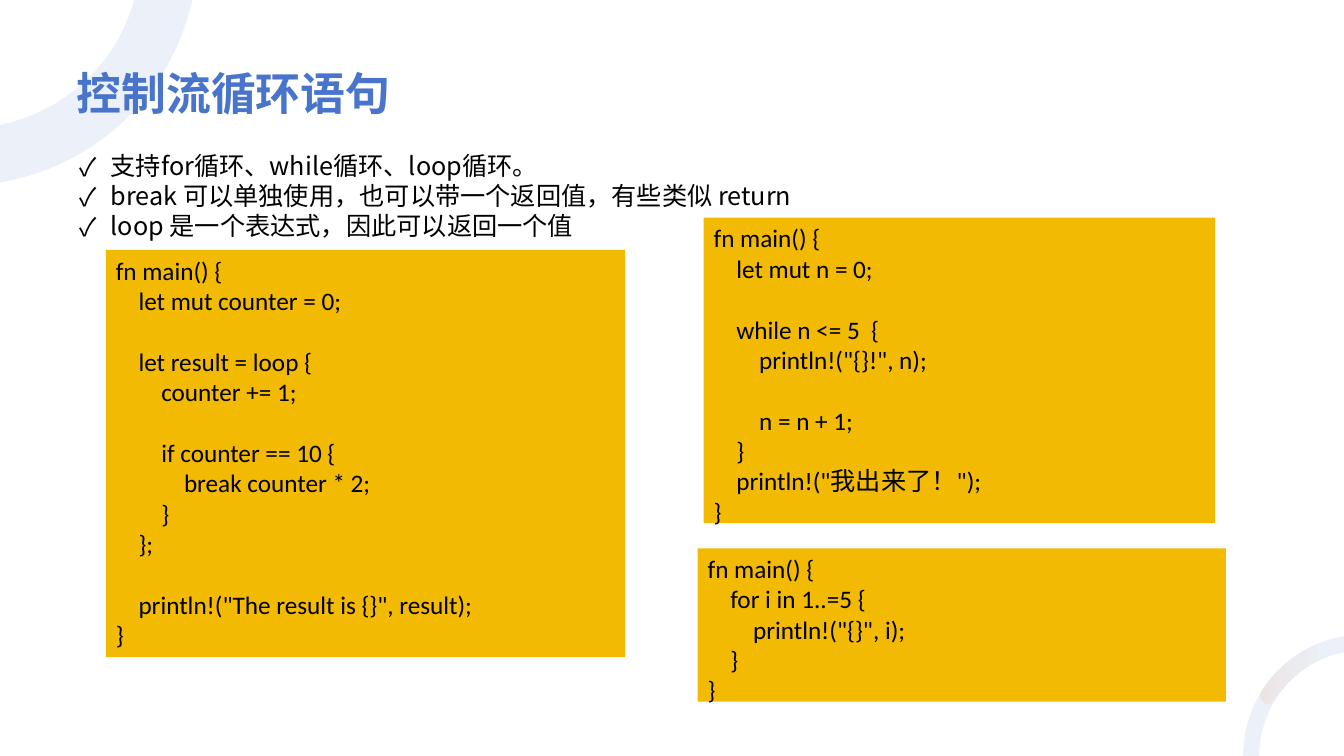
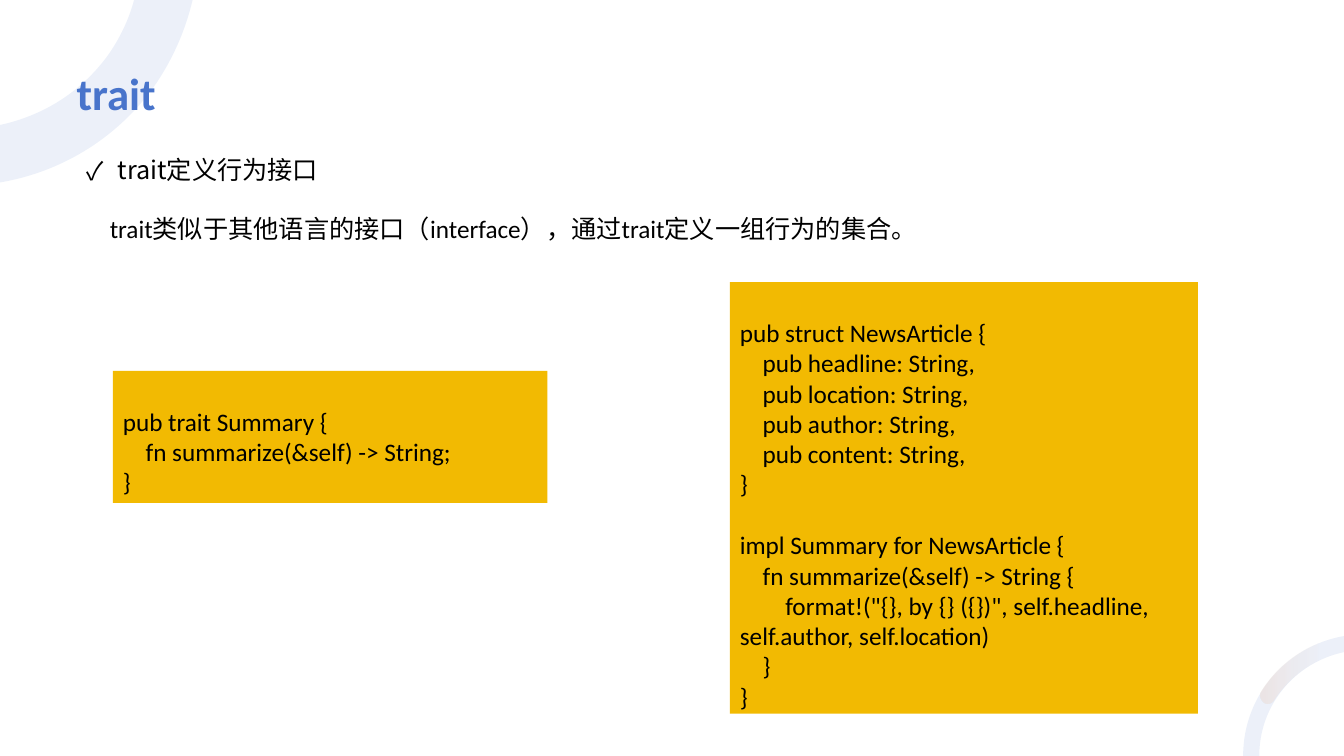
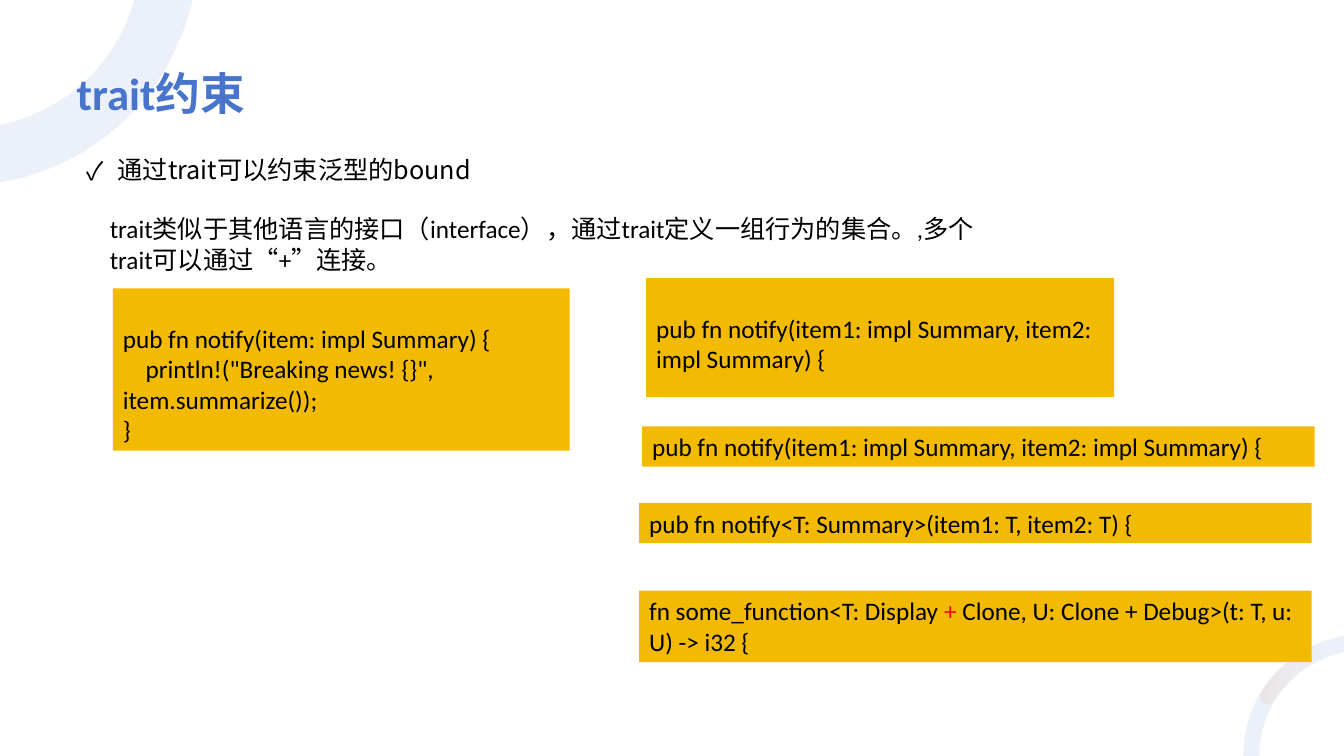
from dataclasses import dataclass

from lxml import etree
from pptx import Presentation
from pptx.dml.color import RGBColor
from pptx.enum.shapes import MSO_SHAPE
from pptx.enum.text import MSO_ANCHOR, PP_ALIGN
from pptx.oxml.ns import qn
from pptx.util import Emu, Pt

RECTANGLE = MSO_SHAPE.RECTANGLE
TOP, BOTTOM = MSO_ANCHOR.TOP, MSO_ANCHOR.BOTTOM
LEFT = PP_ALIGN.LEFT

# Shared look; 100 px make one inch
EMU_PER_PX = 9144
BLUE = RGBColor(0x48, 0x74, 0xCB)
ORANGE = RGBColor(0xEE, 0x82, 0x2F)
AMBER = RGBColor(0xF2, 0xBA, 0x02)
BLACK = RGBColor(0, 0, 0)
RED = RGBColor(0xFF, 0, 0)
BODY_FONT = "Calibri"
BULLET_FONT = "Noto Sans CJK SC"
BODY_SIZE, TITLE_SIZE = 18, 32
CODE_LINE = 22  # points in one line of code
INSET_X, INSET_Y = 10, 5
BULLET_INDENT = 31


@dataclass(frozen=True)
class Box:
    left: int
    top: int
    width: int
    height: int


@dataclass(frozen=True)
class Note:
    box: Box
    lines: tuple[str, ...]
    bulleted: bool = False


@dataclass(frozen=True)
class Code:
    box: Box
    text: str
    top_inset: int = INSET_Y
    red_mark: str = ""


@dataclass(frozen=True)
class Page:
    title: str
    notes: tuple[Note, ...]
    codes: tuple[Code, ...]


@dataclass(frozen=True)
class Outline:
    """Each step is a line (x, y) or a cubic curve (two controls and an end)."""
    start: tuple[int, int]
    steps: tuple[tuple[int, ...], ...]


# Corner decorations
TOP_ARC = Outline((0, 124), (
    (42, 115, 80, 92, 107, 55), (119, 38, 128, 19, 133, 0), (191, 0),
    (184, 30, 171, 60, 152, 87), (114, 139, 59, 171, 0, 181), (0, 124)))
BOTTOM_ARC = Outline((1333, 631), (
    (1276, 641, 1233, 690, 1233, 750), (1249, 750),
    (1249, 699, 1285, 657, 1333, 647), (1333, 631)))
GLOW_ARC = Outline((1333, 631), (
    (1333, 647), (1304, 653, 1280, 670, 1264, 694),
    (1262, 698, 1257, 699, 1254, 697), (1250, 694, 1249, 689, 1251, 686),
    (1269, 657, 1299, 637, 1333, 631)))
FIRST_ARC_ID = 101

TITLE_BOX = Box(76, 39, 1181, 79)
BULLET_BOX = Box(76, 148, 1106, 40)
BLANK_LINE_INSET = INSET_Y + 30
TRAIT_INTRO = "trait类似于其他语言的接口（interface），通过trait定义一组行为的集合。"
NOTIFY_TWO = "pub fn notify(item1: impl Summary, item2: impl Summary) {"

LOOP_CODE = """fn main() {
    let mut counter = 0;

    let result = loop {
        counter += 1;

        if counter == 10 {
            break counter * 2;
        }
    };

    println!("The result is {}", result);
}"""
WHILE_CODE = """fn main() {
    let mut n = 0;

    while n <= 5  {
        println!("{}!", n);

        n = n + 1;
    }
    println!("我出来了！");
}"""
FOR_CODE = """fn main() {
    for i in 1..=5 {
        println!("{}", i);
    }
}"""
TRAIT_CODE = """pub trait Summary {
    fn summarize(&self) -> String;
}"""
ARTICLE_CODE = """pub struct NewsArticle {
    pub headline: String,
    pub location: String,
    pub author: String,
    pub content: String,
}

impl Summary for NewsArticle {
    fn summarize(&self) -> String {
        format!("{}, by {} ({})", self.headline, self.author, self.location)
    }
}"""
NOTIFY_CODE = """pub fn notify(item: impl Summary) {
    println!("Breaking news! {}",    item.summarize());
}"""
BOUNDS_CODE = "fn some_function<T: Display + Clone, U: Clone + Debug>(t: T, u: U) -> i32 {"

PAGES = (
    Page(
        "控制流循环语句",
        (Note(Box(69, 144, 1015, 101), (
            "支持for循环、while循环、loop循环。",
            "break 可以单独使用，也可以带一个返回值，有些类似 return",
            "loop 是一个表达式，因此可以返回一个值"), bulleted=True),),
        (Code(Box(105, 248, 515, 404), LOOP_CODE),
         Code(Box(698, 216, 507, 303), WHILE_CODE),
         Code(Box(692, 544, 524, 152), FOR_CODE)),
    ),
    Page(
        "trait",
        (Note(BULLET_BOX, ("trait定义行为接口",), bulleted=True),
         Note(Box(99, 207, 902, 40), (TRAIT_INTRO,))),
        (Code(Box(112, 368, 431, 131), TRAIT_CODE, BLANK_LINE_INSET),
         Code(Box(724, 280, 464, 428), ARTICLE_CODE, BLANK_LINE_INSET)),
    ),
    Page(
        "trait约束",
        (Note(BULLET_BOX, ("通过trait可以约束泛型的bound",), bulleted=True),
         Note(Box(99, 207, 902, 71), (TRAIT_INTRO + ",多个trait可以通过“+”连接。",))),
        (Code(Box(112, 286, 453, 161), NOTIFY_CODE, BLANK_LINE_INSET),
         Code(Box(641, 276, 464, 118), NOTIFY_TWO, BLANK_LINE_INSET),
         Code(Box(637, 423, 667, 40), NOTIFY_TWO),
         Code(Box(634, 499, 667, 40), "pub fn notify<T: Summary>(item1: T, item2: T) {"),
         Code(Box(634, 586, 667, 71), BOUNDS_CODE, red_mark="+")),
    ),
)


def px(length: int) -> Emu:
    return Emu(length * EMU_PER_PX)


def place(box: Box) -> tuple[Emu, Emu, Emu, Emu]:
    return px(box.left), px(box.top), px(box.width), px(box.height)


def set_opacity(shape, percents: tuple[int, ...]) -> None:
    colors = shape._element.spPr.iter(qn("a:srgbClr"))
    for color, percent in zip(colors, percents):
        etree.SubElement(color, qn("a:alpha"), val=str(percent * 1000))


def draw_outline(slide, outline: Outline):
    builder = slide.shapes.build_freeform(*map(px, outline.start), scale=1.0)
    ends = [(px(step[-2]), px(step[-1])) for step in outline.steps]
    builder.add_line_segments(ends, close=False)
    shape = builder.convert_to_shape()
    shape.shadow.inherit = False
    shape.line.fill.background()

    # Turn the straight segments of curved steps into cubic curves
    segments = list(shape._element.iter(qn("a:lnTo")))
    for segment, step in zip(segments, outline.steps):
        if len(step) == 2:
            continue
        curve = etree.Element(qn("a:cubicBezTo"))
        for x, y in zip(step[::2], step[1::2]):
            etree.SubElement(curve, qn("a:pt"), x=str(px(x) - shape.left),
                             y=str(px(y) - shape.top))
        segment.getparent().replace(segment, curve)
    return shape


def draw_background(slide) -> None:
    """Draw the corner arcs and hand them to the layout all slides share."""
    arcs = [draw_outline(slide, outline) for outline in (TOP_ARC, BOTTOM_ARC, GLOW_ARC)]
    glow = arcs[-1]
    for arc in arcs[:-1]:
        arc.fill.solid()
        arc.fill.fore_color.rgb = BLUE
        set_opacity(arc, (10,))
    glow.fill.gradient()
    glow.fill.gradient_angle = 0
    for stop, position in zip(glow.fill.gradient_stops, (0, 0.7)):
        stop.position = position
        stop.color.rgb = ORANGE
    set_opacity(glow, (10, 0))
    for number, arc in enumerate(arcs, FIRST_ARC_ID):
        arc._element.nvSpPr.cNvPr.set("id", str(number))
        slide.slide_layout.shapes._spTree.append(arc._element)


def style_paragraph(paragraph, font_name: str = BODY_FONT, size: int = BODY_SIZE,
                    color: RGBColor = BLACK, bold: bool = False) -> None:
    paragraph.alignment = LEFT
    font = paragraph.font
    font.name, font.size, font.bold = font_name, Pt(size), bold
    font.color.rgb = color
    etree.SubElement(font._element, qn("a:ea"), typeface=BULLET_FONT)


def add_bullet(paragraph) -> None:
    properties = paragraph._p.get_or_add_pPr()
    properties.set("marL", str(px(BULLET_INDENT)))
    properties.set("indent", str(-px(BULLET_INDENT)))
    etree.SubElement(properties, qn("a:buFont"), typeface=BULLET_FONT)
    etree.SubElement(properties, qn("a:buChar"), char="✓")


def set_frame(frame, anchor, inset_x: int, top_inset: int, bottom_inset: int) -> None:
    frame.word_wrap = True
    frame.vertical_anchor = anchor
    frame.margin_left = frame.margin_right = px(inset_x)
    frame.margin_top, frame.margin_bottom = px(top_inset), px(bottom_inset)


def next_paragraph(frame, index: int):
    return frame.add_paragraph() if index else frame.paragraphs[0]


def draw_title(slide, title: str) -> None:
    frame = slide.shapes.add_textbox(*place(TITLE_BOX)).text_frame
    set_frame(frame, BOTTOM, 0, 0, 0)
    paragraph = frame.paragraphs[0]
    paragraph.add_run().text = title
    style_paragraph(paragraph, size=TITLE_SIZE, color=BLUE, bold=True)


def draw_note(slide, note: Note) -> None:
    frame = slide.shapes.add_textbox(*place(note.box)).text_frame
    set_frame(frame, TOP, INSET_X, INSET_Y, INSET_Y)
    for index, line in enumerate(note.lines):
        paragraph = next_paragraph(frame, index)
        paragraph.add_run().text = line
        if note.bulleted:
            add_bullet(paragraph)
        style_paragraph(paragraph, BULLET_FONT if note.bulleted else BODY_FONT)


def draw_code(slide, code: Code) -> None:
    shape = slide.shapes.add_shape(RECTANGLE, *place(code.box))
    shape.shadow.inherit = False
    shape.fill.solid()
    shape.fill.fore_color.rgb = AMBER
    shape.line.fill.background()
    frame = shape.text_frame
    set_frame(frame, TOP, INSET_X, code.top_inset, INSET_Y)

    # A blank code line becomes space before the line that follows
    lines = code.text.split("\n")
    filled = [(line, number > 0 and not lines[number - 1])
              for number, line in enumerate(lines) if line]
    for index, (line, after_gap) in enumerate(filled):
        paragraph = next_paragraph(frame, index)
        if after_gap:
            paragraph.space_before = Pt(CODE_LINE)
        pieces = line.partition(code.red_mark) if code.red_mark else (line,)
        for piece in pieces:
            run = paragraph.add_run()
            run.text = piece
            if piece == code.red_mark:
                run.font.color.rgb = RED
        style_paragraph(paragraph)


def main() -> None:
    presentation = Presentation()
    presentation.slide_width, presentation.slide_height = px(1333), px(750)
    blank_layout = presentation.slide_layouts[6]
    slides = [presentation.slides.add_slide(blank_layout) for _ in PAGES]
    draw_background(slides[0])
    for slide, page in zip(slides, PAGES):
        draw_title(slide, page.title)
        for note in page.notes:
            draw_note(slide, note)
        for code in page.codes:
            draw_code(slide, code)
    presentation.save("out.pptx")


if __name__ == "__main__":
    main()
